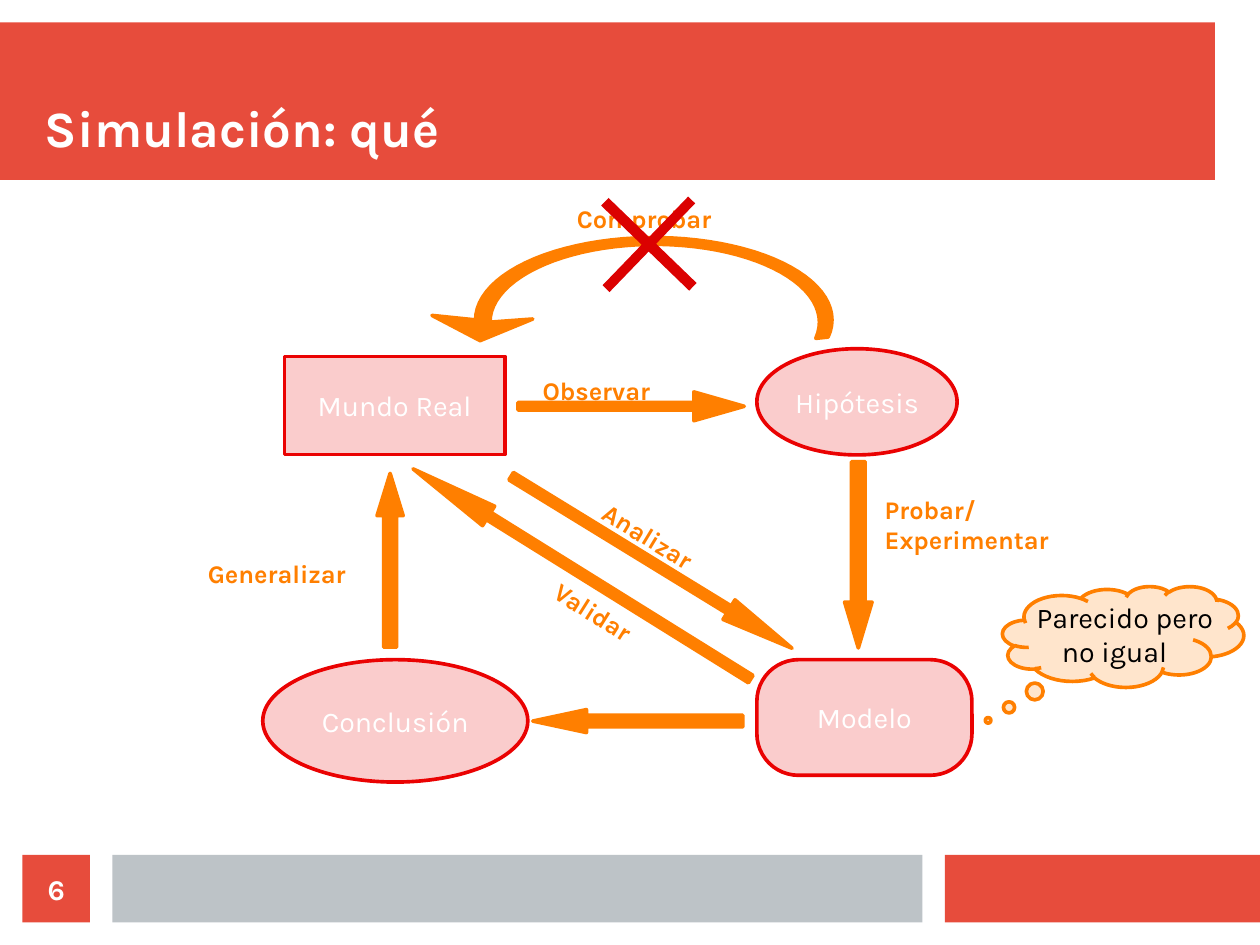
import math

from lxml import etree
from pptx import Presentation
from pptx.dml.color import RGBColor
from pptx.enum import shapes as kinds, text as txt
from pptx.oxml.ns import qn
from pptx.util import Cm, Pt

FONT = "Karla"
CORAL, GREY, WHITE, BLACK = "E74C3C", "BDC3C7", "FFFFFF", "000000"
RED, DARK_RED, ORANGE = "EA0202", "DB0101", "FF7F00"
SHAPE = kinds.MSO_SHAPE


def rgb(value):
    return RGBColor.from_string(value)


def paint(shape, fill, line=None, opacity=None):
    shape.shadow.inherit = False
    shape.fill.solid()
    shape.fill.fore_color.rgb = rgb(fill)
    if opacity:
        color = shape.fill._xPr.find(qn("a:solidFill"))[0]
        etree.SubElement(color, qn("a:alpha"), val=str(opacity * 1000))
    if line:
        shape.line.color.rgb = rgb(line)
        shape.line.width = Pt(2.3)
    else:
        shape.line.fill.background()


def write(frame, lines, size, color, bold=False, align=txt.PP_ALIGN.LEFT,
          anchor=txt.MSO_ANCHOR.TOP, inset=(0.25, 0.13), wrap=True):
    frame.word_wrap = wrap
    frame.vertical_anchor = anchor
    frame.margin_left = frame.margin_right = Cm(inset[0])
    frame.margin_top = frame.margin_bottom = Cm(inset[1])
    frame.text = lines
    for paragraph in frame.paragraphs:
        paragraph.alignment = align
        font = paragraph.font
        font.name, font.size, font.bold = FONT, Pt(size), bold
        font.color.rgb = rgb(color)


def add_block(slide, kind, box, fill, line=None, opacity=None, adjust=(), turn=0):
    block = slide.shapes.add_shape(kind, *map(Cm, box))
    for i, value in enumerate(adjust):
        block.adjustments[i] = value
    block.rotation = turn
    paint(block, fill, line, opacity)
    return block


def add_node(slide, kind, box, lines, accent=RED, color=WHITE, adjust=()):
    node = add_block(slide, kind, box, accent, accent, 20, adjust)
    write(node.text_frame, lines, 18, color, align=txt.PP_ALIGN.CENTER,
          anchor=txt.MSO_ANCHOR.MIDDLE, inset=(0.28, 0.15), wrap=False)
    return node


def add_label(slide, box, lines, turn=0):
    label = slide.shapes.add_textbox(*map(Cm, box))
    label.rotation = turn
    write(label.text_frame, lines, 16, ORANGE, bold=True)


def arc(cx, cy, rx, ry, angles):
    return [(Cm(cx + rx * math.cos(math.radians(a))),
             Cm(cy - ry * math.sin(math.radians(a)))) for a in angles]


def add_curved_arrow(slide):
    outer = arc(14.53, 7.11, 3.96, 1.83, range(180, -13, -4))
    inner = arc(14.55, 7.16, 3.66, 1.73, range(-12, 181, 4))
    head = [(Cm(x), Cm(y)) for x, y in ((11.84, 7.09), (10.67, 7.57), (9.6, 7.01))]
    outline = outer + inner + head
    builder = slide.shapes.build_freeform(*outline[0], scale=1.0)
    builder.add_line_segments(outline[1:], close=True)
    paint(builder.convert_to_shape(), ORANGE, ORANGE)


def add_frame(slide):
    for box, fill in (((0, 0.5, 27, 3.5), CORAL), ((21, 19, 7, 1.5), CORAL),
                      ((2.5, 19, 18, 1.5), GREY)):
        add_block(slide, SHAPE.RECTANGLE, box, fill)
    number = add_block(slide, SHAPE.RECTANGLE, (0.5, 19, 1.5, 1.5), CORAL)
    write(number.text_frame, "6", 18, WHITE, bold=True, align=txt.PP_ALIGN.CENTER,
          anchor=txt.MSO_ANCHOR.MIDDLE, inset=(0, 0))

    # The title stands in front of its band
    title = slide.shapes.title
    title.left, title.top, title.width, title.height = map(Cm, (1, 1, 26, 2.5))
    write(title.text_frame, "Simulación: qué", 32, WHITE, bold=True,
          anchor=txt.MSO_ANCHOR.BOTTOM, inset=(0, 0))
    slide.shapes._spTree.append(title._element)


def main():
    deck = Presentation()
    deck.slide_width, deck.slide_height = Cm(28), Cm(21)
    slide = deck.slides.add_slide(deck.slide_layouts[5])
    add_frame(slide)

    # Stages of the cycle
    add_node(slide, SHAPE.OVAL, (16.82, 7.75, 4.45, 2.36), "Hipótesis")
    add_node(slide, SHAPE.RECTANGLE, (6.32, 7.92, 4.9, 2.18), "Mundo Real")
    add_node(slide, SHAPE.ROUNDED_RECTANGLE, (16.82, 14.66, 4.78, 2.57), "Modelo",
             adjust=(0.36,))
    add_node(slide, SHAPE.OVAL, (5.84, 14.66, 5.89, 2.72), "Conclusión")
    remark = add_node(slide, SHAPE.CLOUD_CALLOUT, (22.28, 13.03, 5.36, 2.24),
                      "Parecido pero\nno igual", ORANGE, BLACK, (-0.56, 0.83))
    first_line = remark.text_frame.paragraphs[0]
    first_line._p.get_or_add_pPr().set("marL", str(Cm(0.46)))

    # Steps between the stages
    add_curved_arrow(slide)
    for kind, box, adjust, turn in (
        (SHAPE.RIGHT_ARROW, (10.82, 12.24, 7.32, 0.51), (0.38, 3.22), 31.5),
        (SHAPE.RIGHT_ARROW, (8.51, 12.5, 8.84, 0.51), (0.38, 3.88), 211.9),
        (SHAPE.RIGHT_ARROW, (11.51, 8.71, 5.03, 0.64), (0.26, 1.75), 0),
        (SHAPE.DOWN_ARROW, (18.77, 10.26, 0.61, 4.14), (0.5, 1.67), 0),
        (SHAPE.LEFT_ARROW, (11.84, 15.77, 4.67, 0.51), (0.5, 2.34), 0),
        (SHAPE.UP_ARROW, (8.38, 10.52, 0.58, 3.86), (0.5, 1.62), 0),
    ):
        add_block(slide, kind, box, ORANGE, ORANGE, adjust=adjust, turn=turn)

    # Names of the steps
    for lines, box, turn in (
        ("Comprobar", (12.57, 4.39, 4.14, 1.02), 0),
        ("Analizar", (12.88, 11.94, 4.65, 1.02), 31.3),
        ("Validar", (11.79, 13.72, 4.65, 1.02), 32.3),
        ("Observar", (11.81, 8.2, 3.81, 1.02), 0),
        ("Probar/\nExperimentar", (19.41, 10.85, 5.49, 2.46), 0),
        ("Generalizar", (4.37, 12.27, 4.62, 1.02), 0),
    ):
        add_label(slide, box, lines, turn)

    # Cross over the rejected step
    add_block(slide, SHAPE.CROSS, (13.06, 4.06, 2.72, 2.74), DARK_RED,
              adjust=(0.46,), turn=44)

    deck.save("out.pptx")


if __name__ == "__main__":
    main()
